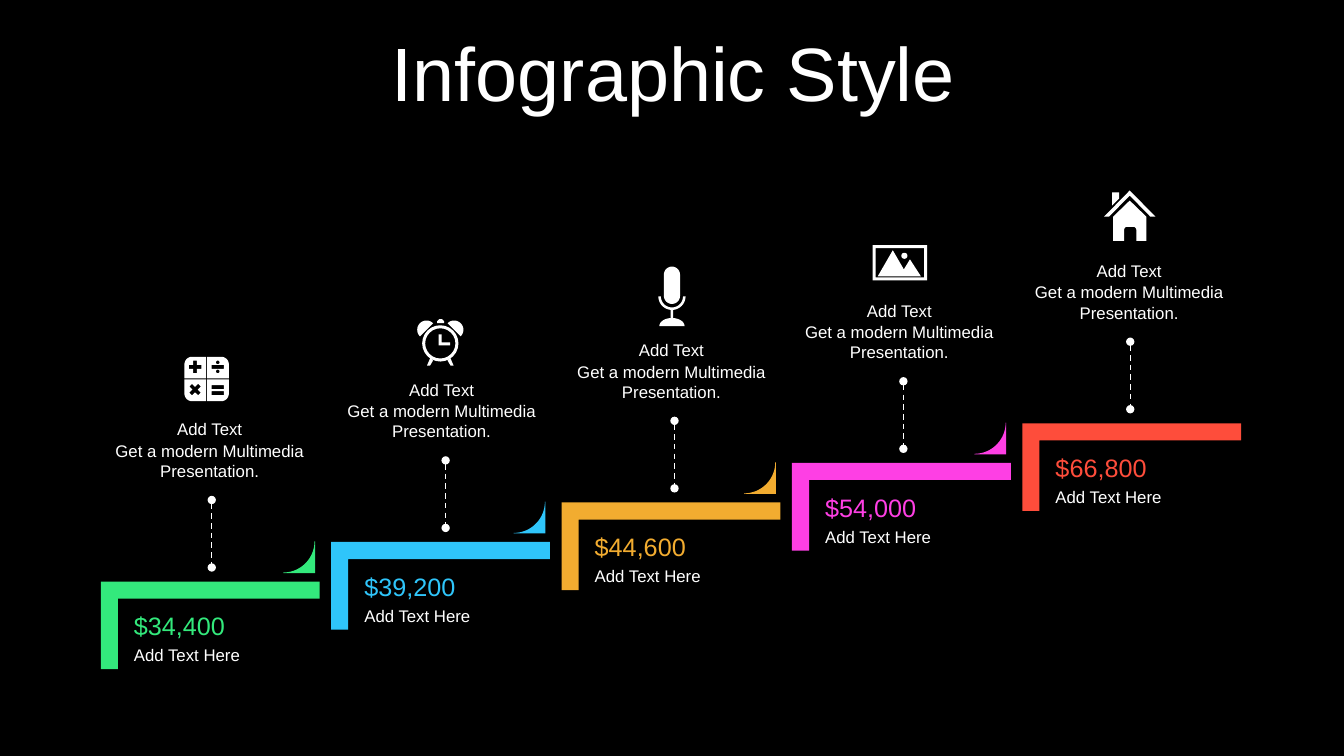
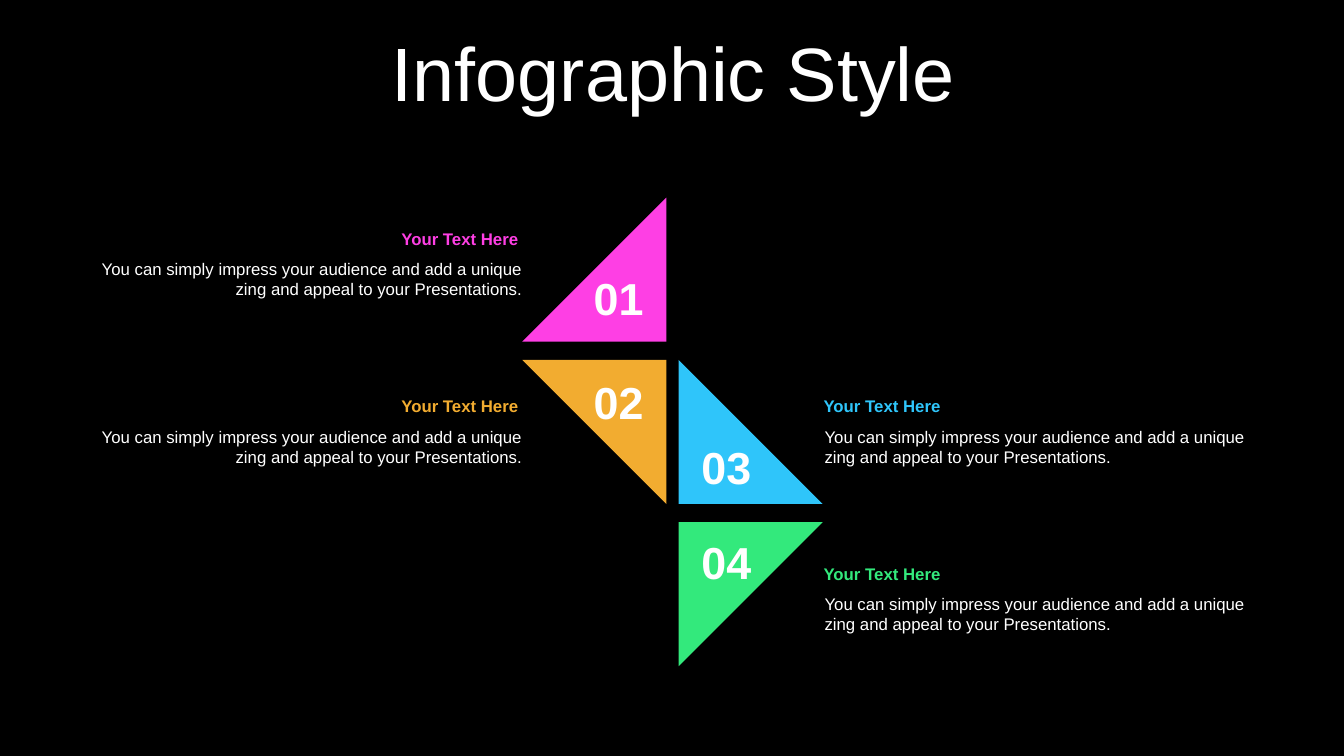
from dataclasses import dataclass
from itertools import product
from math import cos, radians, sin

from lxml.etree import SubElement
from pptx import Presentation
from pptx.dml.color import RGBColor
from pptx.enum.dml import MSO_LINE as Dash
from pptx.enum.shapes import MSO_CONNECTOR as Link, MSO_SHAPE as Kind
from pptx.enum.text import MSO_ANCHOR as Anchor, MSO_AUTO_SIZE as Fit, PP_ALIGN as Align
from pptx.oxml.ns import qn
from pptx.util import Inches, Pt


@dataclass(frozen=True)
class Theme:
    font: str = "Arial"
    back: str = "000000"
    white: str = "FFFFFF"
    green: str = "33E97C"
    blue: str = "2FC5FA"
    gold: str = "F2AC30"
    pink: str = "FE3FE4"
    red: str = "FE4D3B"
    title: int = 54
    number: int = 32
    price: int = 18
    body: int = 12


T = Theme()
TITLE = "Infographic Style"


def style(frame, words, size=T.body, color=T.white, bold=False,
          align=Align.LEFT, anchor=Anchor.TOP, lead=None):
    frame.word_wrap = True
    frame.auto_size = Fit.NONE
    frame.vertical_anchor = anchor
    para = frame.paragraphs[0]
    para.alignment = align
    para.space_before = Pt(0)
    if lead:
        para.line_spacing = lead
    run = para.add_run()
    run.text = words
    font = run.font
    font.name, font.size, font.bold = T.font, Pt(size), bold
    font.color.rgb = RGBColor.from_string(color)


def text(slide, box, words, **look):
    area = slide.shapes.add_textbox(*map(Inches, box))
    style(area.text_frame, words, **look)


def paint(shape, color):
    shape.shadow.inherit = False
    shape.fill.solid()
    shape.fill.fore_color.rgb = RGBColor.from_string(color)
    shape.line.fill.background()


def start(deck):
    slide = deck.slides.add_slide(deck.slide_layouts[5])
    head = slide.shapes.title
    head.left, head.top, head.width, head.height = map(Inches, (0.35, 0.37, 12.66, 0.79))
    style(head.text_frame, TITLE, size=T.title, align=Align.CENTER,
          anchor=Anchor.MIDDLE, lead=0.9)
    return slide


def arc(x, y, rad, begin, end, tall=None):
    turns = [radians(begin + (end - begin) * i / 24) for i in range(25)]
    return [(x + rad * cos(t), y + (tall or rad) * sin(t)) for t in turns]


def disc(x, y, rad):
    return arc(x, y, rad, 0, 360)


def rect(x, y, wide, high):
    return [(x, y), (x + wide, y), (x + wide, y + high), (x, y + high)]


def cross(x, y, arm, half, turn):
    spin = radians(turn)
    side = [(half, -half), (arm, -half), (arm, half)]
    points = []
    for quad in range(4):
        angle = spin + radians(90 * quad)
        points += [(x + a * cos(angle) - b * sin(angle),
                    y + a * sin(angle) + b * cos(angle)) for a, b in side]
    return points


def mirror(loop, axis):
    return [(2 * axis - x, y) for x, y in loop]


def draw(slide, left, top, loops, color=T.white):
    loops = [[(Inches(x / 100), Inches(y / 100)) for x, y in loop] for loop in loops]
    pen = slide.shapes.build_freeform(*loops[0][0])
    for i, loop in enumerate(loops):
        if i:
            pen.move_to(*loop[0])
        pen.add_line_segments(loop[1:], close=True)
    paint(pen.convert_to_shape(Inches(left), Inches(top)), color)


def sums():
    tile = [(0.5, 0.5), (22, 0.5), *arc(14.5, 14.5, 7.5, 0, 90), (0.5, 22)]
    tiles = [[(22 + a * x, 22 + b * y) for x, y in tile]
             for a, b in product((-1, 1), repeat=2)]
    bars = [rect(27, y, 12, 4) for y in (8, 28, 34)]
    return tiles + bars + [disc(33, 5.5, 1.8), disc(33, 14.5, 1.8),
                           cross(10.5, 10, 6.2, 1.9, 0), cross(10.5, 32.5, 6.2, 1.9, 45)]


def clock():
    bell = arc(9.5, 10.5, 9.2, 135, 315)
    leg = [(16, 41), (13, 46), (10, 46), (13, 39)]
    knob = [(20, 4), (20, 2), (22, 0), (25, 0), (27, 2), (27, 4)]
    hands = [(21.5, 15), (24.5, 15), (24.5, 23), (33, 23), (33, 26), (21.5, 26)]
    return [disc(23.2, 24, 18), disc(23.2, 24, 15), hands, knob,
            bell, mirror(bell, 23.2), leg, mirror(leg, 23.2)]


def mic():
    return [arc(13.5, 8, 8, 180, 360) + arc(13.5, 29, 8, 0, 180),
            arc(13.5, 29.5, 13.5, 0, 180) + arc(13.5, 29.5, 11, 180, 0),
            rect(12.3, 43, 2.4, 8), arc(13.5, 59, 12.5, 180, 360, tall=8)]


def photo():
    peaks = [(20, 5), (31, 24), (37, 14), (48, 31), (5, 31)]
    return [rect(0, 0, 54, 35), rect(3, 3, 48, 29), peaks, disc(31.5, 10.5, 3)]


def house():
    roof = [(25.5, 0), (51, 26), (46, 26), (25.5, 5), (5, 26), (0, 26)]
    flue = [(8, 2), (15, 2), (15, 8), (8, 15)]
    wall = [(25.5, 10), (42, 26), (42, 50), (32, 50), *arc(29, 39, 3, 0, -90),
            *arc(23, 39, 3, 270, 180), (20, 50), (9, 50), (9, 26)]
    return [roof, flue, wall]


def pin(slide, x, top, end):
    line = slide.shapes.add_connector(Link.STRAIGHT, *map(Inches, (x, top, x, end)))
    line.line.color.rgb = RGBColor.from_string(T.white)
    line.line.width = Pt(1)
    line.line.dash_style = Dash.DASH
    stroke = line.line._get_or_add_ln()
    for tag in ("a:headEnd", "a:tailEnd"):
        SubElement(stroke, qn(tag), type="oval")
    SubElement(line._element.spPr, qn("a:effectLst"))


def step(slide, x, y, price, color, mid, stem, icon):
    bar = slide.shapes.add_shape(Kind.CORNER, *map(Inches, (x, y, 2.17, 0.87)))
    bar.adjustments[0] = bar.adjustments[1] = 0.195
    bar._element.spPr.xfrm.set("flipV", "1")
    paint(bar, color)
    text(slide, (x + 0.23, y + 0.24, 1.52, 0.4), price, size=T.price,
         color=color, anchor=Anchor.MIDDLE)
    text(slide, (x + 0.23, y + 0.58, 1.51, 0.3), "Add Text Here")
    text(slide, (mid - 1.19, y - 1.66, 2.38, 0.3), "Add Text", align=Align.CENTER)
    text(slide, (mid - 1.19, y - 1.45, 2.38, 0.5),
         "Get a modern Multimedia Presentation.", align=Align.CENTER)
    pin(slide, stem, y - 0.81, y - 0.14)
    shape, across, rise = icon
    draw(slide, x + across, y - rise, shape())


def stairs(slide, x, y, wide, high):
    steps = [
        ("$34,400", T.green, 1.08, 1.1, (sums, 0.83, 2.23)),
        ("$39,200", T.blue, 3.38, 3.42, (clock, 0.85, 2.21)),
        ("$44,600", T.gold, 5.66, 5.69, (mic, 0.96, 2.34)),
        ("$54,000", T.pink, 7.92, 7.96, (photo, 0.8, 2.16)),
        ("$66,800", T.red, 10.2, 10.21, (house, 0.81, 2.31)),
    ]
    last = len(steps) - 1
    curl = [(31.5, 0), (31.5, 31.5), (0, 31.5), *arc(0, 0, 31, 90, 0)]
    for i, (price, color, mid, stem, icon) in enumerate(steps):
        left, top = x + wide * i / last, y - high * i / last
        step(slide, left, top, price, color, x + mid, x + stem, icon)
        if i < last:
            draw(slide, left + 1.81, top - 0.4, [curl], color)


def blurb(slide, x, y, color, align):
    text(slide, (x, y, 4.34, 0.3), "Your Text Here", color=color, bold=True, align=align)
    text(slide, (x + 0.01, y + 0.3, 4.37, 0.5),
         "You can simply impress your audience and add a unique "
         "zing and appeal to your Presentations.", align=align)


def wings(slide, x, y):
    side, over, down = 1.43, 1.55, 1.61
    parts = [
        ("01", T.pink, 0, 0, 270, 0.68, 0, Align.RIGHT),
        ("02", T.gold, 0, 1, 180, 0.1, 1, Align.RIGHT),
        ("03", T.blue, 1, 1, 0, 0.74, 1, Align.LEFT),
        ("04", T.green, 1, 2, 90, 0.08, 2, Align.LEFT),
    ]
    for number, color, col, row, turn, drop, line, align in parts:
        left, top = x + col * over, y + row * down
        wing = slide.shapes.add_shape(Kind.RIGHT_TRIANGLE,
                                      *map(Inches, (left, top, side, side)))
        wing.rotation = turn
        paint(wing, color)
        text(slide, (x + 0.4 + col * 1.07, top + drop, 1.11, 0.64), number,
             size=T.number, bold=True, align=Align.CENTER)
        blurb(slide, x + (2.89 if col else -4.28), y + 0.26 + line * 1.66, color, align)


def main():
    deck = Presentation()
    deck.slide_width, deck.slide_height = Inches(13.33), Inches(7.5)
    fill = deck.slide_master.background.fill
    fill.solid()
    fill.fore_color.rgb = RGBColor.from_string(T.back)
    stairs(start(deck), 1, 5.77, 9.14, 1.57)
    wings(start(deck), 5.18, 1.96)
    deck.save("out.pptx")


if __name__ == "__main__":
    main()
